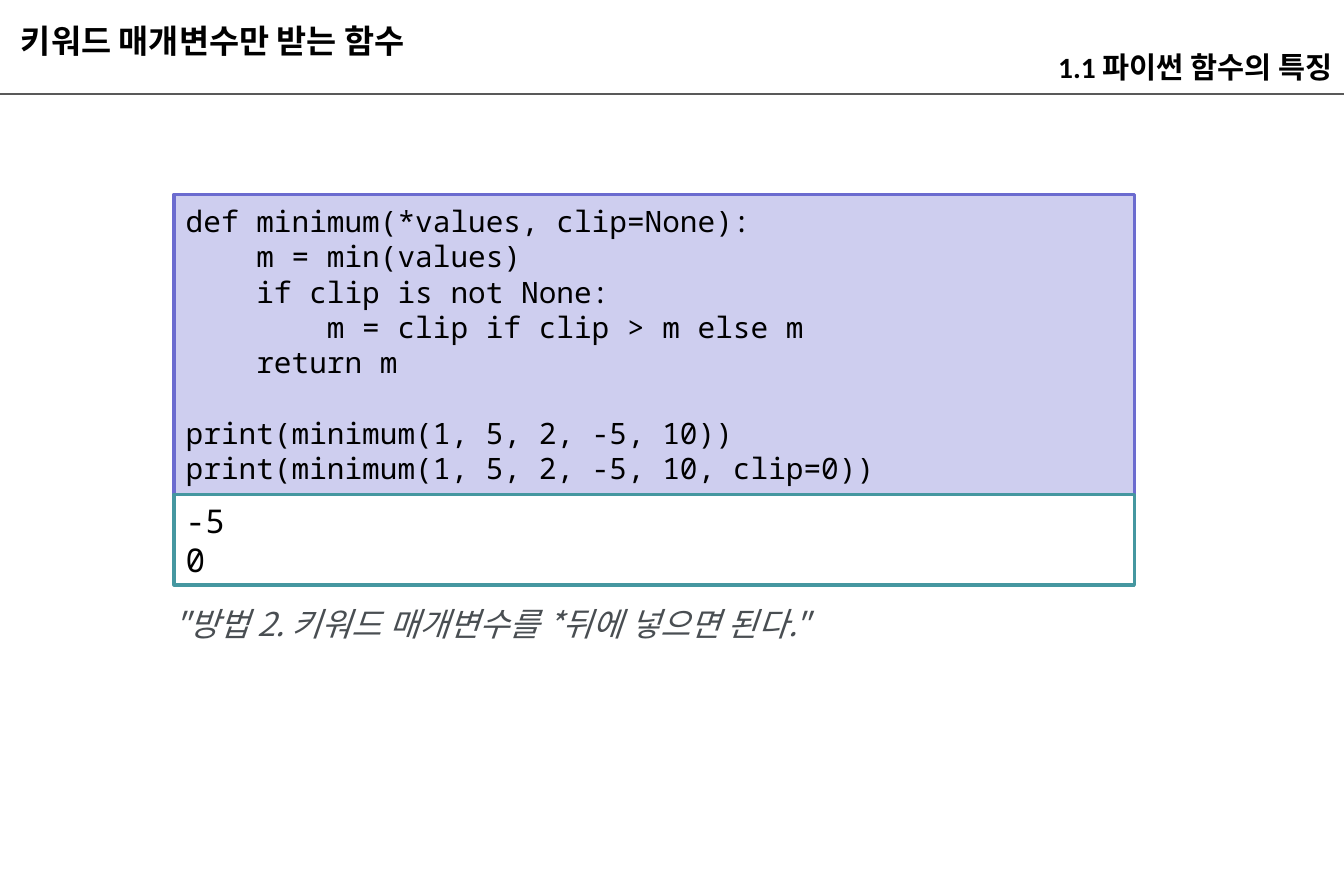
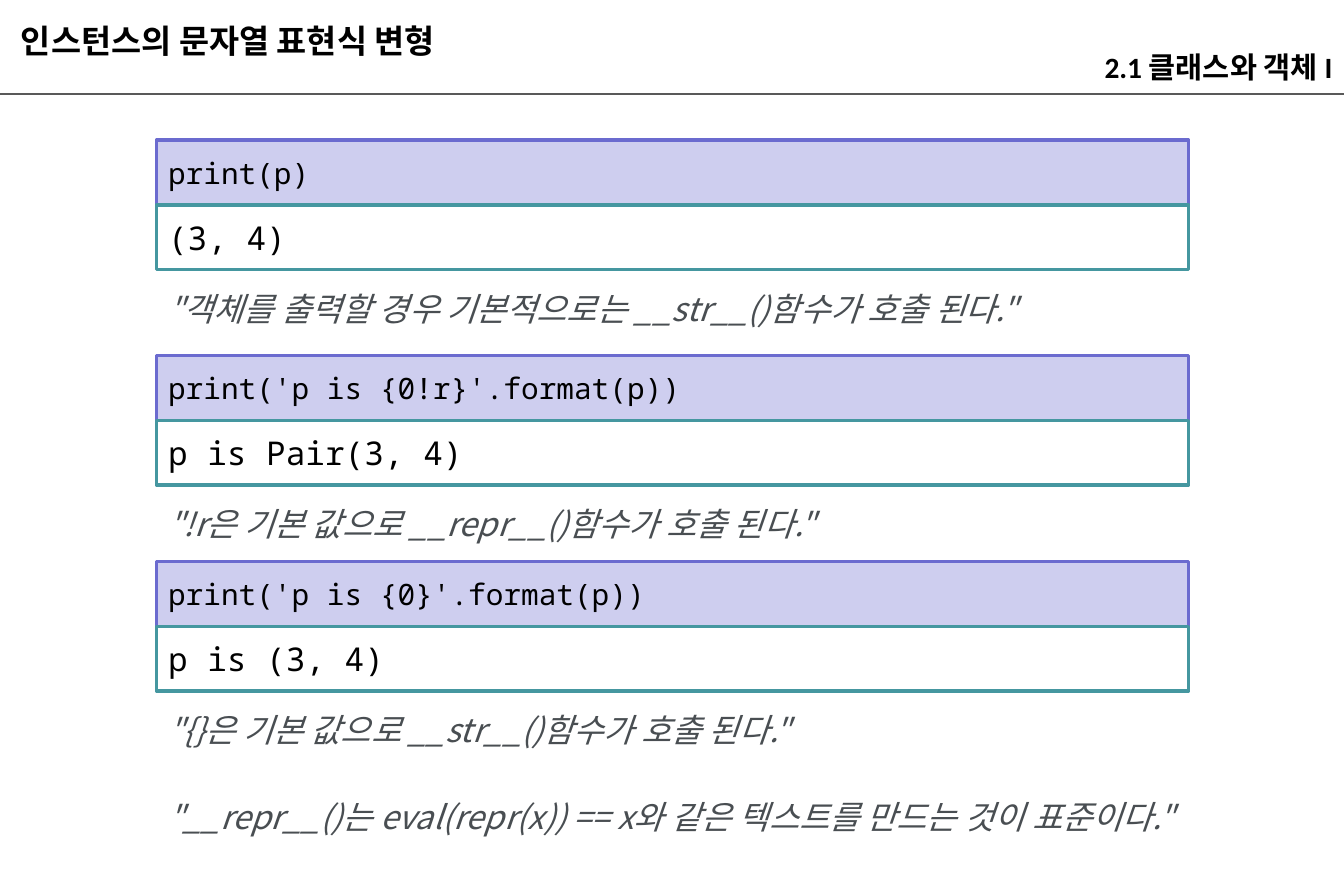
import pptx
import pptx.dml.color
import pptx.enum.shapes
import pptx.enum.text
import pptx.oxml.ns
import pptx.util
from lxml import etree
from pptx.util import Inches

COLORS = {
    "text": "000000",
    "caption": "494E52",
    "rule": "595959",
    "code_fill": "CECEEF",
    "code_line": "6B6BCF",
    "output_fill": "FFFFFF",
    "output_line": "4597A0",
}
TITLE_FONT = "Calibri"
KOREAN_FONT = "Noto Sans CJK KR"
CODE_FONT = "Noto Sans Mono"
PAGE_WIDTH, PAGE_HEIGHT = 11.42, 7.5
CAPTION_GAP = 0.11
CODE_LINE_PITCH = 21.6

ALIGN = pptx.enum.text.PP_ALIGN
ANCHOR = pptx.enum.text.MSO_ANCHOR


def rgb(name):
    return pptx.dml.color.RGBColor.from_string(COLORS[name])


def write(box, text, *, size, font, color="text", bold=False, italic=False,
          align=ALIGN.LEFT, anchor=ANCHOR.TOP):
    """Fill a box, one paragraph a line; an empty line becomes space before the next."""
    frame = box.text_frame
    frame.word_wrap = True
    frame.vertical_anchor = anchor
    para, gap = None, 0
    for line in text.split("\n"):
        if not line:
            gap += CODE_LINE_PITCH
            continue
        para = frame.add_paragraph() if para else frame.paragraphs[0]
        para.alignment = align
        if gap:
            para.space_before = pptx.util.Pt(gap)
            gap = 0
        span = para.add_run()
        span.text = line
        span.font.size = pptx.util.Pt(size)
        span.font.name = font
        span.font.bold = bold
        span.font.italic = italic
        span.font.color.rgb = rgb(color)
        east_asian = etree.SubElement(span.font._element, pptx.oxml.ns.qn("a:ea"))
        east_asian.set("typeface", KOREAN_FONT)


def add_text(page, left, top, width, height, text, **style):
    box = page.shapes.add_textbox(Inches(left), Inches(top), Inches(width), Inches(height))
    write(box, text, **style)
    return box


def add_panel(page, left, top, width, height, text, kind, size):
    box = page.shapes.add_shape(pptx.enum.shapes.MSO_SHAPE.RECTANGLE, Inches(left),
                                Inches(top), Inches(width), Inches(height))
    box.shadow.inherit = False
    box.fill.solid()
    box.fill.fore_color.rgb = rgb(kind + "_fill")
    box.line.color.rgb = rgb(kind + "_line")
    box.line.width = pptx.util.Pt(2)
    write(box, text, size=size, font=CODE_FONT, anchor=ANCHOR.MIDDLE)


def add_caption(page, left, top, width, text):
    box = add_text(page, left, top, width, 0.44, text, size=20, font=KOREAN_FONT,
                   color="caption", italic=True)
    box.text_frame.auto_size = pptx.enum.text.MSO_AUTO_SIZE.SHAPE_TO_FIT_TEXT


def add_example(page, left, top, width, code, output, caption, *, code_height=0.55,
                output_height=0.55, caption_left=None, caption_width=8.22):
    """Stack a code panel, its output and a caption."""
    output_top = top + code_height
    add_panel(page, left, top, width, code_height, code, "code", 18)
    add_panel(page, left, output_top, width, output_height, output, "output", 20)
    add_caption(page, left if caption_left is None else caption_left,
                output_top + output_height + CAPTION_GAP, caption_width, caption)


def add_page(deck, title, section):
    page = deck.slides.add_slide(deck.slide_layouts[6])
    rule = page.shapes.add_connector(pptx.enum.shapes.MSO_CONNECTOR.STRAIGHT, 0,
                                     Inches(0.8), Inches(PAGE_WIDTH), Inches(0.8))
    rule.line.color.rgb = rgb("rule")
    rule.line.width = pptx.util.Pt(1.5)
    etree.SubElement(rule._element.spPr, pptx.oxml.ns.qn("a:effectLst"))
    headings = (
        (0.08, 0.09, 5.11, title, 20, ALIGN.LEFT),
        (6.11, 0.3, 5.31, section, 18, ALIGN.RIGHT),
    )
    for left, top, width, text, size, align in headings:
        box = add_text(page, left, top, width, 0.44, text, size=size, font=TITLE_FONT,
                       bold=True, align=align, anchor=ANCHOR.BOTTOM)
        box.text_frame.margin_top = box.text_frame.margin_bottom = Inches(0.02)
    return page


MINIMUM_CODE = """def minimum(*values, clip=None):
    m = min(values)
    if clip is not None:
        m = clip if clip > m else m
    return m

print(minimum(1, 5, 2, -5, 10))
print(minimum(1, 5, 2, -5, 10, clip=0))"""

FORMAT_EXAMPLES = (
    (1.19, "print(p)", "(3, 4)",
     '"객체를 출력할 경우 기본적으로는 __str__()함수가 호출 된다."'),
    (3.02, "print('p is {0!r}'.format(p))", "p is Pair(3, 4)",
     '"!r은 기본 값으로 __repr__()함수가 호출 된다."'),
    (4.77, "print('p is {0}'.format(p))", "p is (3, 4)",
     '"{}은 기본 값으로 __str__()함수가 호출 된다."'),
)


def main():
    deck = pptx.Presentation()
    deck.slide_width = Inches(PAGE_WIDTH)
    deck.slide_height = Inches(PAGE_HEIGHT)

    page = add_page(deck, "키워드 매개변수만 받는 함수", "1.1 파이썬 함수의 특징")
    add_example(page, 1.48, 1.65, 8.16, MINIMUM_CODE, "-5\n0",
                '"방법 2. 키워드 매개변수를 *뒤에 넣으면 된다."',
                code_height=2.55, output_height=0.77, caption_left=1.38, caption_width=6.99)

    page = add_page(deck, "인스턴스의 문자열 표현식 변형", "2.1 클래스와 객체 I")
    for top, code, output, caption in FORMAT_EXAMPLES:
        add_example(page, 1.33, top, 8.77, code, output, caption)
    add_caption(page, 1.33, 6.72, 9.09,
                '"__repr__()는 eval(repr(x)) == x와 같은 텍스트를 만드는 것이 표준이다."')

    deck.save("out.pptx")


if __name__ == "__main__":
    main()
